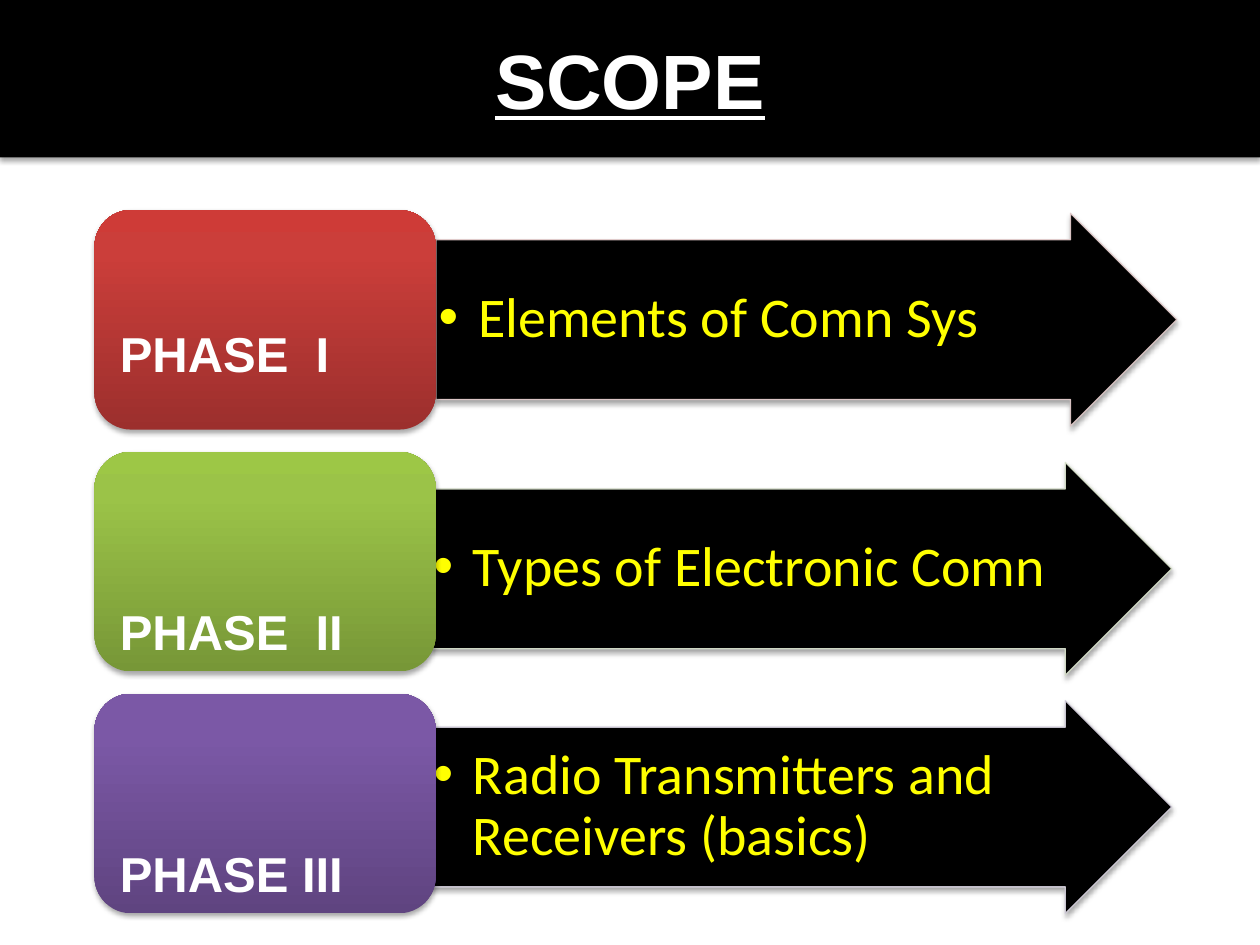
"""Build the SCOPE slide: three phase cards, each with an arrow naming its topic."""
from copy import deepcopy

from lxml import etree
from pptx import Presentation
from pptx.dml.color import RGBColor
from pptx.enum.shapes import MSO_SHAPE
from pptx.enum.text import MSO_ANCHOR, PP_ALIGN
from pptx.oxml.ns import qn
from pptx.util import Pt

RECT, CARD, ARROW = MSO_SHAPE.RECTANGLE, MSO_SHAPE.ROUNDED_RECTANGLE, MSO_SHAPE.RIGHT_ARROW
MIDDLE, BOTTOM = MSO_ANCHOR.MIDDLE, MSO_ANCHOR.BOTTOM
LEFT, CENTER = PP_ALIGN.LEFT, PP_ALIGN.CENTER
BLACK = RGBColor(0, 0, 0)
WHITE = RGBColor(255, 255, 255)
YELLOW = RGBColor(255, 255, 0)

TITLE = "SCOPE"
PHASES = [
    {"label": "PHASE  I", "topic": "Elements of Comn Sys", "lift": 21,
     "arrow": (249.1, 121.8), "edge": "E8D0D0", "shades": ("9C2F2D", "CB3E3A", "CE3B37")},
    {"label": "PHASE  II", "topic": "Types of Electronic Comn", "lift": 0,
     "arrow": (246.2, 264.2), "edge": "DEE7D1", "shades": ("779737", "9BC348", "9DC746")},
    {"label": "PHASE III", "topic": "Radio Transmitters and Receivers (basics)", "lift": 0,
     "arrow": (246.2, 400.3), "edge": "D8D3E0", "shades": ("5F4480", "7B58A6", "7C57A8")},
]
STOPS = (0, 0.8, 1)
CARD_X, CARD_Y, CARD_W, CARD_H, STEP = 54, 120, 195, 125.5, 138.2
ARROW_W, ARROW_H = 423.4, 121.7


def add_box(slide, kind, x, y, w, h):
    box = slide.shapes.add_shape(kind, Pt(x), Pt(y), Pt(w), Pt(h))
    box.shadow.inherit = False
    box.line.fill.background()
    glow = etree.SubElement(box._element.spPr.find(qn("a:effectLst")), qn("a:outerShdw"),
                            blurRad=str(Pt(3.1)), dist=str(Pt(1.8)), dir="5400000", rotWithShape="0")
    tint = etree.SubElement(glow, qn("a:srgbClr"), val="000000")
    etree.SubElement(tint, qn("a:alpha"), val="35000")
    return box


def set_black(box):
    box.fill.solid()
    box.fill.fore_color.rgb = BLACK


def set_shades(box, shades):
    box.fill.gradient()
    box.fill.gradient_angle = 90
    stops = box._element.spPr.find(qn("a:gradFill")).find(qn("a:gsLst"))
    stops.append(deepcopy(stops[0]))
    for stop, place, shade in zip(box.fill.gradient_stops, STOPS, shades):
        stop.position = place
        stop.color.rgb = RGBColor.from_string(shade)


def set_edge(box, shade):
    box.line.color.rgb = RGBColor.from_string(shade)
    box.line.width = Pt(0.75)
    tint = box.line._ln.find(qn("a:solidFill"))[0]
    etree.SubElement(tint, qn("a:alpha"), val="90000")


def set_text(box, text, font, size, color, align, anchor, insets):
    frame = box.text_frame
    frame.text = text
    frame.word_wrap = True
    frame.vertical_anchor = anchor
    frame.margin_left, frame.margin_top, frame.margin_right, frame.margin_bottom = map(Pt, insets)
    para = frame.paragraphs[0]
    para.alignment = align
    style = para.runs[0].font
    style.name, style.size, style.color.rgb = font, Pt(size), color
    return para


def set_bullet(para):
    para.line_spacing = 0.9
    props = para._p.get_or_add_pPr()
    props.set("marL", str(Pt(22.5)))
    props.set("indent", str(Pt(-22.5)))
    etree.SubElement(props, qn("a:buFont"), typeface="Arial")
    etree.SubElement(props, qn("a:buChar"), char="•")


def add_phase(slide, row, phase):
    arrow = add_box(slide, ARROW, *phase["arrow"], ARROW_W, ARROW_H)
    arrow.adjustments[0] = 0.75
    set_black(arrow)
    set_edge(arrow, phase["edge"])
    set_bullet(set_text(arrow, phase["topic"], "Calibri", 32, YELLOW, LEFT, MIDDLE,
                        (1.6, 1.6, 1.6, 1.6)))
    card = add_box(slide, CARD, CARD_X, CARD_Y + row * STEP, CARD_W, CARD_H)
    set_shades(card, phase["shades"])
    para = set_text(card, phase["label"], "Arial", 28, WHITE, LEFT, BOTTOM,
                    (8.4, 4.2, 8.4, phase["lift"]))
    para.runs[0].font.bold = True


def main():
    deck = Presentation()
    deck.slide_width, deck.slide_height = Pt(720), Pt(540)
    slide = deck.slides.add_slide(deck.slide_layouts[6])
    banner = add_box(slide, RECT, 0, 0, 720, 90)
    set_black(banner)
    para = set_text(banner, TITLE, "Arial", 44, WHITE, CENTER, MIDDLE, (7.2, 3.6, 7.2, 3.6))
    para.runs[0].font.bold = para.runs[0].font.underline = True
    for row, phase in enumerate(PHASES):
        add_phase(slide, row, phase)
    deck.save("out.pptx")


if __name__ == "__main__":
    main()
